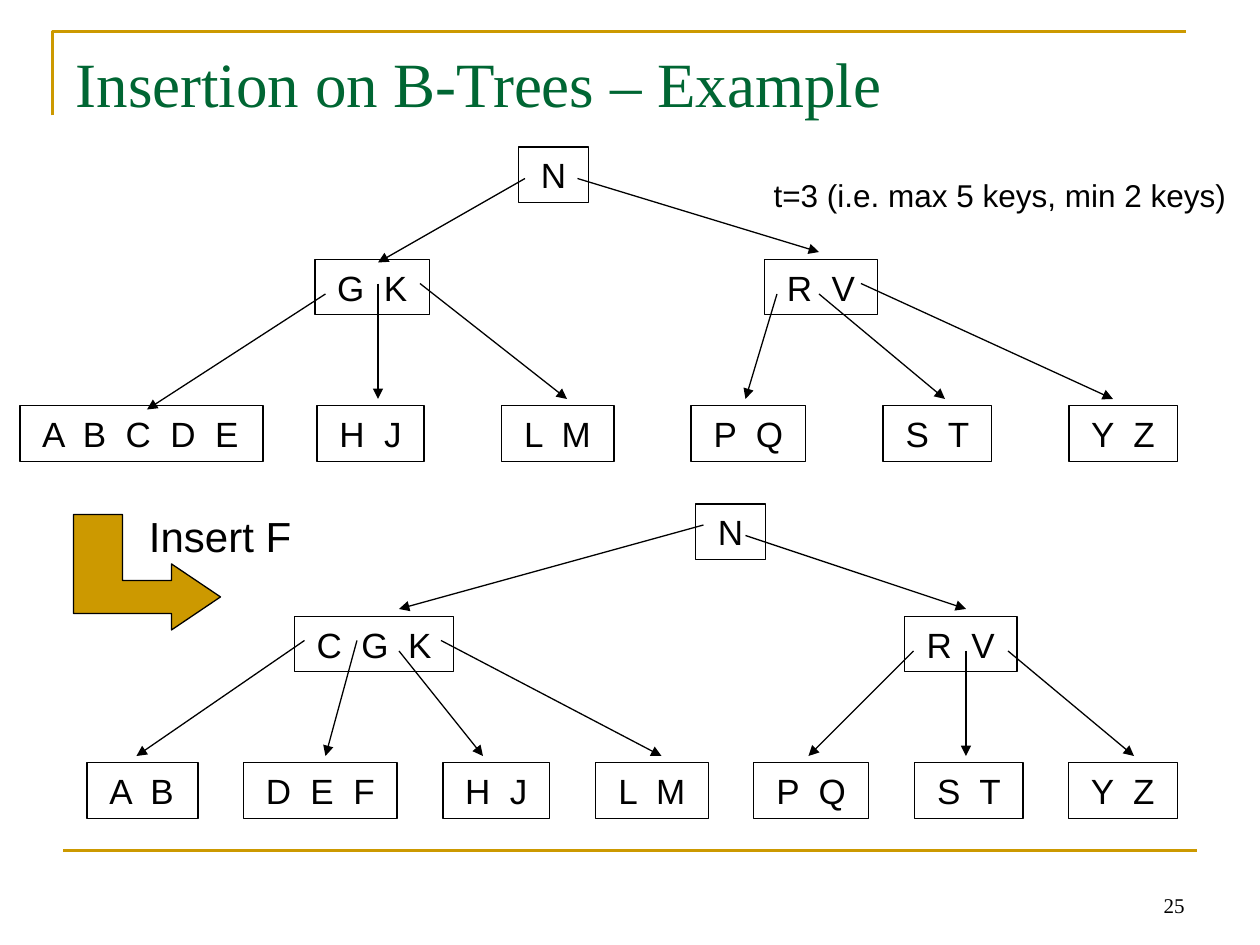
from lxml import etree
from pptx import Presentation
from pptx.dml.color import RGBColor
from pptx.enum.shapes import MSO_CONNECTOR, MSO_SHAPE
from pptx.enum.text import MSO_ANCHOR, MSO_AUTO_SIZE, PP_ALIGN
from pptx.oxml.ns import qn
from pptx.util import Inches, Pt

STRAIGHT, RECTANGLE = MSO_CONNECTOR.STRAIGHT, MSO_SHAPE.RECTANGLE
TOP, MIDDLE, BOTTOM = MSO_ANCHOR.TOP, MSO_ANCHOR.MIDDLE, MSO_ANCHOR.BOTTOM
LEFT, CENTER, RIGHT = PP_ALIGN.LEFT, PP_ALIGN.CENTER, PP_ALIGN.RIGHT
FIXED = MSO_AUTO_SIZE.NONE

BLACK = RGBColor(0x00, 0x00, 0x00)
GOLD = RGBColor(0xCC, 0x99, 0x00)
GREEN = RGBColor(0x00, 0x66, 0x33)

CELL = Inches(1) // 12
THIN, THICK = Pt(0.75), Pt(1.5)
SANS, SERIF = "Arial", "Times New Roman"

KEY_SIZE = 20
NODE_ROWS = 5.28
LEVEL_ROWS = (0, 10.7, 24.65)
SPACE_WIDTH = 0.278
LETTER_WIDTHS = {
    "A": 0.667, "B": 0.667, "C": 0.722, "D": 0.722, "E": 0.667, "F": 0.611,
    "G": 0.778, "H": 0.722, "J": 0.5, "K": 0.667, "L": 0.556, "M": 0.833,
    "N": 0.722, "P": 0.667, "Q": 0.778, "R": 0.722, "S": 0.667, "T": 0.611,
    "V": 0.667, "Y": 0.667, "Z": 0.611,
}

FULL_TREE = {
    "rows": [
        (0, 47.4, 0, ["N"]),
        (1, 28, 31.9, ["GK", "RV"]),
        (2, -0.1, 0, ["ABCDE"]),
        (2, 28.2, 7.35, ["HJ", "LM", "PQ", "ST", "YZ"]),
    ],
    "arrows": [
        (48, 3, 34, 11), (53, 3, 76, 10),
        (29, 14, 12, 25), (34, 13, 34, 24), (38, 13, 52, 24),
        (72, 14, 69, 24), (76, 14, 88, 24), (80, 13, 104, 24),
    ],
}
SPLIT_TREE = {
    "rows": [
        (0, 58.25, 0, ["N"]),
        (1, 20.05, 42.9, ["CGK", "RV"]),
        (2, 0.3, 4.35, ["AB", "DEF", "HJ", "LM", "PQ", "ST", "YZ"]),
    ],
    "arrows": [
        (59, 2, 30, 10), (63, 3, 84, 10),
        (21, 13, 5, 24), (26, 13, 23, 24), (30, 14, 38, 24), (34, 13, 55, 24),
        (79, 14, 69, 24), (84, 14, 84, 24), (88, 14, 100, 24),
    ],
}


def cells(*counts):
    return [round(count * CELL) for count in counts]


def set_format(target, values):
    for name, value in values.items():
        setattr(target, name, value)


def write(shape, text, size, font=SANS, color=BLACK, align=LEFT, anchor=TOP, wrap=False):
    frame = shape.text_frame
    set_format(frame, {"auto_size": FIXED, "word_wrap": wrap, "vertical_anchor": anchor})
    para = frame.paragraphs[0]
    para.alignment = align
    span = para.add_run()
    span.text = text
    set_format(span.font, {"size": Pt(size), "name": font})
    span.font.color.rgb = color


def add_label(page, box, text, size, **style):
    write(page.shapes.add_textbox(*cells(*box)), text, size, **style)


def set_line(shape, color, width):
    shape.line.color.rgb = color
    shape.line.width = width


def add_line(page, ends, color, width, arrow=False):
    line = page.shapes.add_connector(STRAIGHT, *cells(*ends))
    set_line(line, color, width)
    properties = line._element.spPr
    if arrow:
        etree.SubElement(properties.find(qn("a:ln")), qn("a:tailEnd"), type="triangle")
    etree.SubElement(properties, qn("a:effectLst"))


def add_outline(page, box, divisions, points, closed):
    left, top, width, height = cells(*box)
    columns, rows = divisions
    builder = page.shapes.build_freeform(*points[0], scale=(width / columns, height / rows))
    builder.add_line_segments(points[1:], close=closed)
    outline = builder.convert_to_shape(left, top)
    outline.shadow.inherit = False
    return outline


def add_frame(page, box):
    left, top, width, height = box
    corner = add_outline(page, (left, top, width, 8), (1, 1), [(0, 1), (0, 0), (1, 0)], False)
    corner.fill.background()
    set_line(corner, GOLD, THICK)
    bottom = top + height
    add_line(page, (left + 1, bottom, left + 1 + width, bottom), GOLD, THICK)


def add_title(page, box):
    title = page.shapes.title
    set_format(title, dict(zip(("left", "top", "width", "height"), cells(*box))))
    write(title, "Insertion on B-Trees – Example", 36, SERIF, GREEN, wrap=True)


def node_columns(keys):
    ems = sum(LETTER_WIDTHS[key] + 2 * SPACE_WIDTH for key in keys)
    return 12 * (0.2 + ems * KEY_SIZE / 72)


def add_node(page, box, keys):
    node = page.shapes.add_shape(RECTANGLE, *cells(*box))
    node.shadow.inherit = False
    node.fill.background()
    set_line(node, BLACK, THIN)
    write(node, f" {'  '.join(keys)} ", KEY_SIZE, align=CENTER, anchor=MIDDLE)


def add_tree(page, origin, tree):
    left, top = origin
    for level, start, gap, nodes in tree["rows"]:
        column = left + start
        for keys in nodes:
            width = node_columns(keys)
            add_node(page, (column, top + LEVEL_ROWS[level], width, NODE_ROWS), keys)
            column += width + gap
    for x1, y1, x2, y2 in tree["arrows"]:
        add_line(page, (left + x1, top + y1, left + x2, top + y2), BLACK, THIN, arrow=True)


def add_insert_step(page, box):
    left, top, width, height = box
    bend = [(0, 0), (1, 0), (1, 4), (2, 4), (2, 3), (3, 5), (2, 7), (2, 6), (0, 6)]
    arrow = add_outline(page, box, (3, 7), bend, True)
    arrow.fill.solid()
    arrow.fill.fore_color.rgb = GOLD
    set_line(arrow, BLACK, THIN)
    add_label(page, (left + 6, top - 1, 16, 6), "Insert F", 24)


def main():
    deck = Presentation()
    set_format(deck, {"slide_width": Inches(10), "slide_height": Inches(7.5)})
    page = deck.slides.add_slide(deck.slide_layouts[5])
    add_frame(page, (5, 3, 108, 78))
    add_label(page, (86, 82, 28, 6), "25", 12, font=SERIF, align=RIGHT, anchor=BOTTOM, wrap=True)
    add_title(page, (6, 3.6, 108, 15))
    add_label(page, (72.5, 16.2, 45.5, 4.8), "t=3 (i.e. max 5 keys, min 2 keys)", 18)
    add_tree(page, (2, 14), FULL_TREE)
    add_insert_step(page, (7, 49, 14, 11))
    add_tree(page, (8, 48), SPLIT_TREE)
    deck.save("out.pptx")


if __name__ == "__main__":
    main()
